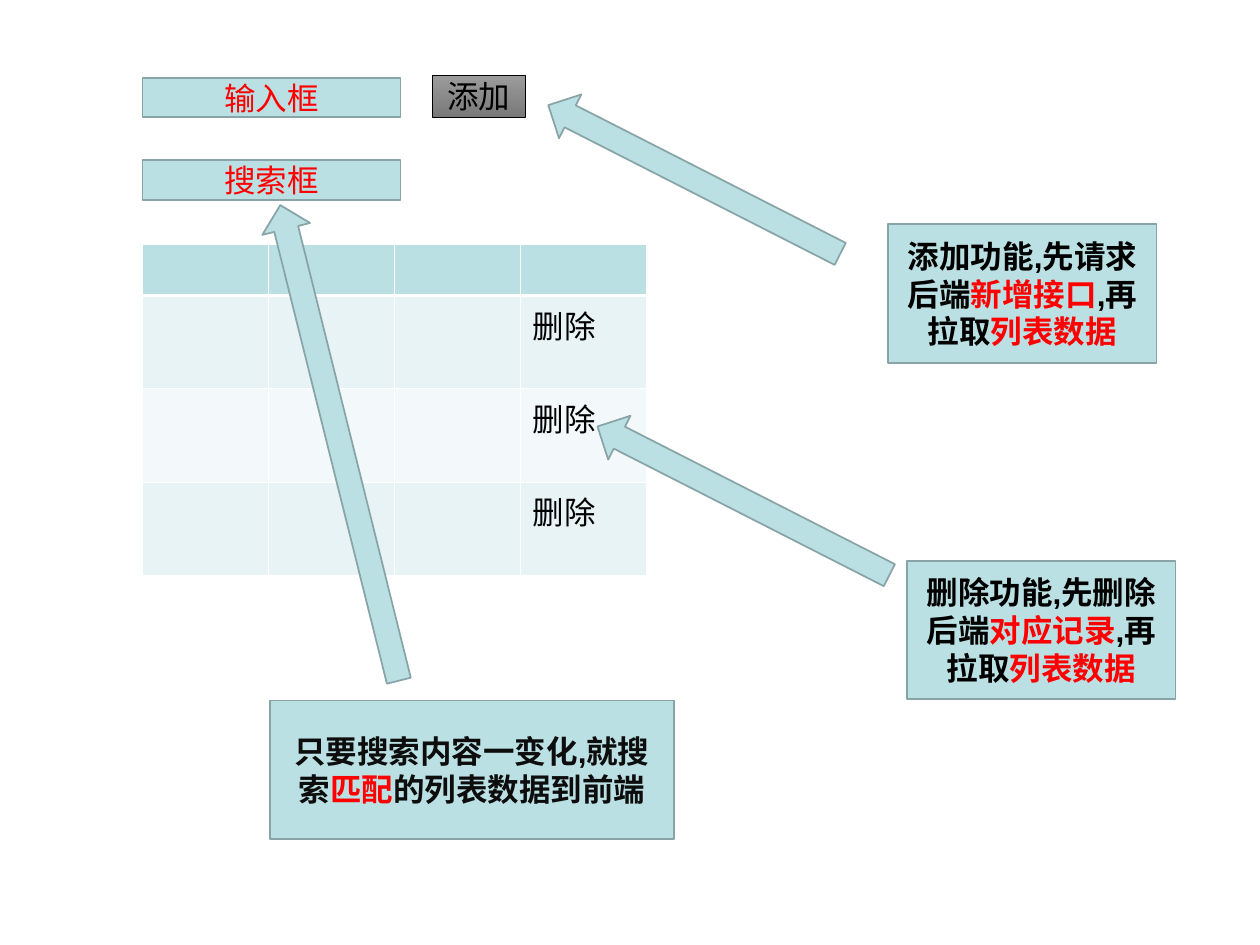
import pptx
import pptx.util
import pptx.dml.color
import pptx.enum.shapes
import pptx.enum.text
import pptx.oxml
import pptx.oxml.ns

Inches, Pt = pptx.util.Inches, pptx.util.Pt
RGB = pptx.dml.color.RGBColor
KIND = pptx.enum.shapes.MSO_SHAPE
ALIGN = pptx.enum.text.PP_ALIGN
ANCHOR = pptx.enum.text.MSO_ANCHOR

TEAL, EDGE = RGB(0xBB, 0xE0, 0xE3), RGB(0x89, 0xA4, 0xA7)
PALE, FAINT = RGB(0xE7, 0xF3, 0xF4), RGB(0xF3, 0xF9, 0xFA)
LIGHT, DARK = RGB(0x9B, 0x9B, 0x9B), RGB(0x79, 0x79, 0x79)
RED, BLACK, INK = RGB(0xFF, 0, 0), RGB(0, 0, 0), RGB(0x0D, 0x0D, 0x0D)

# Each box: left, top, width, height, bold, runs of (text, colour)
FIELDS = [
    (1.13, 0.62, 2.05, 0.31, False, [("输入框", RED)]),
    (1.13, 1.27, 2.05, 0.32, False, [("搜索框", RED)]),
]
BUTTON = (3.43, 0.6, 0.74, 0.33, False, [("添加", BLACK)])
NOTES = [
    (7.05, 1.78, 2.13, 1.1, True,
     [("添加功能,先请求后端", BLACK), ("新增接口", RED),
      (",再拉取", BLACK), ("列表数据", RED)]),
    (7.2, 4.45, 2.13, 1.1, True,
     [("删除功能,先删除后端", BLACK), ("对应记录", RED),
      (",再拉取", BLACK), ("列表数据", RED)]),
    (2.14, 5.56, 3.21, 1.1, True,
     [("只要搜索内容一变化,就搜索", INK), ("匹配", RED),
      ("的列表数据到前端", INK)]),
]
# Each arrow: left, top, width, height, turn in degrees
ARROWS = [
    (4.21, 1.23, 2.6, 0.39, 27),
    (4.6, 3.78, 2.6, 0.39, 27),
    (0.75, 3.32, 3.89, 0.39, 76),
]
# Each table row: height, fill, text of the last column
ROWS = [(0.38, TEAL, ""), (0.74, PALE, "删除"),
        (0.74, FAINT, "删除"), (0.74, PALE, "删除")]
COLS = 4


def write(para, runs, bold=False):
    for text, tint in runs:
        run = para.add_run()
        run.text = text
        style = {"name": "Arial", "size": Pt(18), "bold": bold}
        for key, value in style.items():
            setattr(run.font, key, value)
        run.font.color.rgb = tint


def add_shape(kind, *spot):
    shape = slide.shapes.add_shape(kind, *map(Inches, spot))
    shape.shadow.inherit = False
    shape.fill.solid()
    shape.fill.fore_color.rgb = TEAL
    shape.line.color.rgb = EDGE
    shape.line.width = Pt(1)
    return shape


def add_box(left, top, width, height, bold, runs):
    box = add_shape(KIND.RECTANGLE, left, top, width, height)
    frame = box.text_frame
    frame.word_wrap = True
    frame.vertical_anchor = ANCHOR.MIDDLE
    para = frame.paragraphs[0]
    para.alignment = ALIGN.CENTER
    write(para, runs, bold)
    return box


def add_rules(cell, widths):
    """Draw white cell borders; widths maps a side to points."""
    props = cell._tc.get_or_add_tcPr()
    for spot, (side, width) in enumerate(widths.items()):
        props.insert(spot, pptx.oxml.parse_xml(
            f'<a:ln{side} {pptx.oxml.ns.nsdecls("a")} w="{int(Pt(width))}">'
            '<a:solidFill><a:srgbClr val="FFFFFF"/></a:solidFill>'
            f'</a:ln{side}>'))


def add_grid(left, top):
    high = sum(row[0] for row in ROWS)
    grid = slide.shapes.add_table(
        len(ROWS), COLS, *map(Inches, (left, top, COLS, high))).table
    for col in grid.columns:
        col.width = Inches(1)
    for r, (height, tint, text) in enumerate(ROWS):
        grid.rows[r].height = Inches(height)
        for c in range(COLS):
            cell = grid.cell(r, c)
            cell.fill.solid()
            cell.fill.fore_color.rgb = tint
            add_rules(cell, {"L": 0.45, "R": 0.45,
                             "T": 1.47 if r == 1 else 0.45,
                             "B": 1.47 if r == 0 else 0.45})
            if text and c == COLS - 1:
                write(cell.text_frame.paragraphs[0], [(text, BLACK)])


deck = pptx.Presentation()
deck.slide_width, deck.slide_height = Inches(10), Inches(7.5)
slide = deck.slides.add_slide(deck.slide_layouts[6])

for field in FIELDS:
    add_box(*field)

button = add_box(*BUTTON)
button.fill.gradient()
button.fill.gradient_angle = 270
for stop, tint in zip(button.fill.gradient_stops, (LIGHT, DARK)):
    stop.color.rgb = tint
button.line.color.rgb = BLACK
button.line.width = Pt(0.5)

add_grid(1.13, 1.94)

for *spot, turn in ARROWS:
    add_shape(KIND.LEFT_ARROW, *spot).rotation = turn
for note in NOTES:
    add_box(*note)

deck.save("out.pptx")
